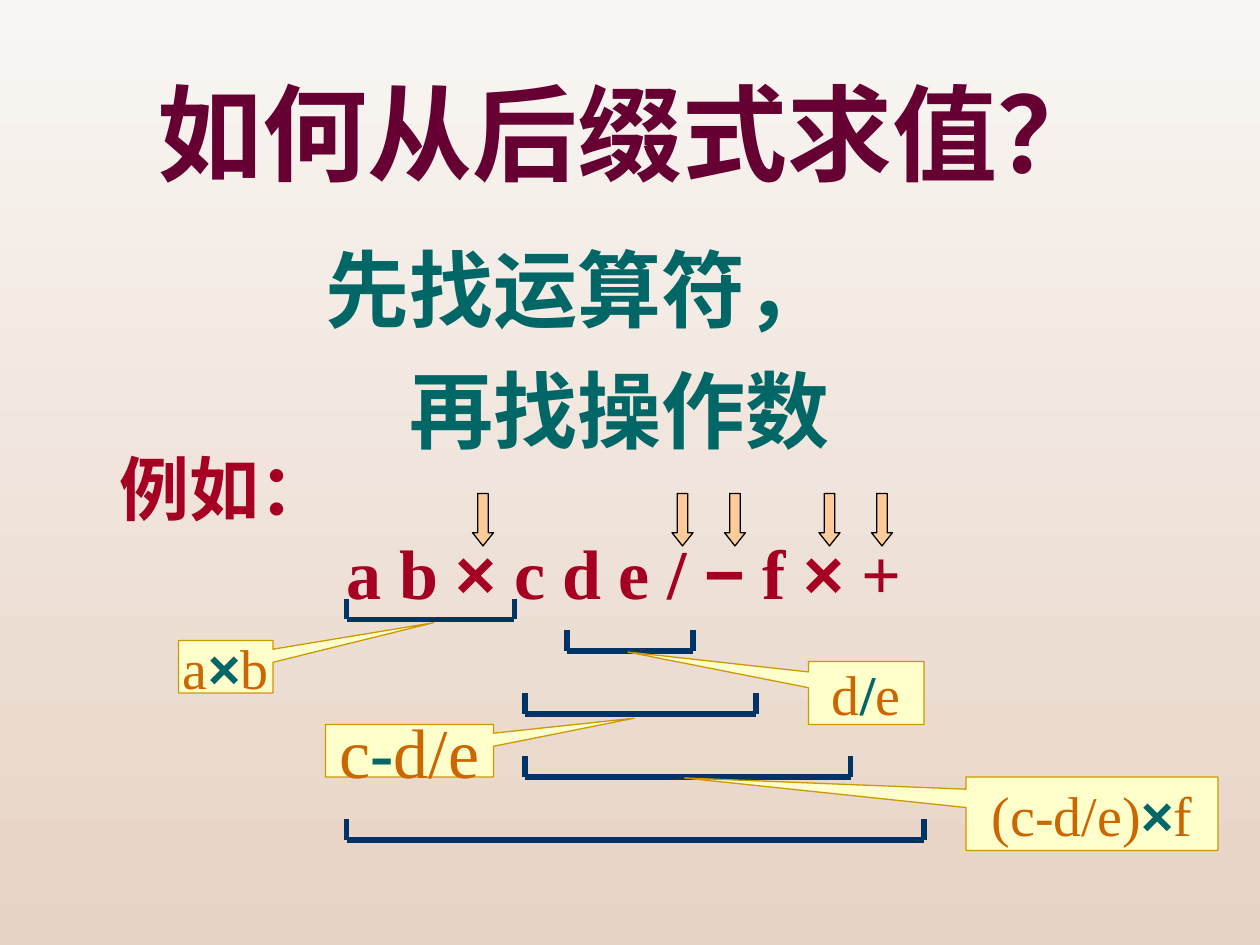
"""Build a slide on evaluating a postfix expression."""
from lxml import etree
from pptx import Presentation, util as u
from pptx.dml.color import RGBColor
from pptx.enum import lang, shapes, text
from pptx.oxml import ns

PLUM = RGBColor(0x66, 0x00, 0x33)
TEAL = RGBColor(0x00, 0x66, 0x66)
RED = RGBColor(0xA5, 0x00, 0x21)
NAVY = RGBColor(0x00, 0x33, 0x66)
RUST = RGBColor(0xCC, 0x66, 0x00)
GOLD = RGBColor(0xCC, 0x99, 0x00)
CREAM = RGBColor(0xFF, 0xFF, 0xCC)
PEACH = RGBColor(0xFF, 0xCC, 0x99)
BLACK = RGBColor(0x00, 0x00, 0x00)
PALE = RGBColor(0xF9, 0xF6, 0xF3)
SAND = RGBColor(0xE7, 0xD3, 0xC5)
COLS, ROWS = 120, 90
LEFT, MID = text.PP_ALIGN.LEFT, text.PP_ALIGN.CENTER


class Board:
    """Holds the style and the current slide, measured in columns and rows."""

    def __init__(self, deck):
        self.deck = deck
        self.slide = deck.slides.add_slide(deck.slide_layouts[6])

    def grid(self, *cells):
        sizes = (self.deck.slide_width / COLS, self.deck.slide_height / ROWS)
        return [u.Emu(round(cell * sizes[i % 2])) for i, cell in enumerate(cells)]

    def back(self, top, low):
        fill = self.slide.background.fill
        fill.gradient()
        fill.gradient_angle = 270
        for stop, tone in zip(fill.gradient_stops, (top, low)):
            stop.color.rgb = tone

    def letter(self, par, parts, size, align):
        par.alignment = align
        for words, tone, bold in parts:
            run = par.add_run()
            run.text = words
            font = run.font
            font.name = "Arial" if words in "×−" else "Times New Roman"
            font.size, font.bold = u.Pt(size), bold
            font.color.rgb = tone
            font.language_id = lang.MSO_LANGUAGE_ID.SIMPLIFIED_CHINESE

    def label(self, area, lines, size, tone, align=MID, gap=0, anchor=text.MSO_ANCHOR.TOP):
        frame = self.slide.shapes.add_textbox(*self.grid(*area)).text_frame
        frame.word_wrap = True
        frame.vertical_anchor = anchor
        for i, (indent, words) in enumerate(lines):
            par = frame.add_paragraph() if i else frame.paragraphs[0]
            par.space_before = u.Pt(gap)
            par._p.get_or_add_pPr().set("marL", str(u.Pt(indent)))
            self.letter(par, [(word, tone, True) for word in words], size, align)

    def line(self, *ends):
        rule = self.slide.shapes.add_connector(shapes.MSO_CONNECTOR.STRAIGHT, *self.grid(*ends))
        rule.line.color.rgb = NAVY
        rule.line.width = u.Pt(3)
        etree.SubElement(rule._element.spPr, ns.qn("a:effectLst"))

    def brace(self, left, right, base):
        self.line(left, base, right, base)
        for col in (left, right):
            self.line(col, base - 2, col, base)

    def shape(self, kind, area, fill, edge):
        item = self.slide.shapes.add_shape(kind, *self.grid(*area))
        item.shadow.inherit = False
        item.fill.solid()
        item.fill.fore_color.rgb = fill
        item.line.color.rgb = edge
        item.line.width = u.Pt(0.75)
        return item

    def note(self, area, tip, words, size):
        item = self.shape(shapes.MSO_SHAPE.RECTANGULAR_CALLOUT, area, CREAM, GOLD)
        for i in range(2):
            item.adjustments[i] = (tip[i] - area[i]) / area[i + 2] - 0.5
        frame = item.text_frame
        frame.word_wrap = False
        frame.vertical_anchor = text.MSO_ANCHOR.MIDDLE
        tones = (RUST, TEAL, RUST)
        parts = [(word, tone, tone == TEAL) for word, tone in zip(words, tones)]
        self.letter(frame.paragraphs[0], parts, size, MID)

    def arrow(self, col):
        item = self.shape(shapes.MSO_SHAPE.DOWN_ARROW, (col, 47, 2, 5), PEACH, BLACK)
        item.adjustments[1] = 0.63


def main():
    deck = Presentation()
    deck.slide_width, deck.slide_height = u.Inches(10), u.Inches(7.5)
    board = Board(deck)
    board.back(PALE, SAND)
    board.label((9, 5, 102, 15), [(0, ["如何从后缀式求值？"])], 60, PLUM,
                anchor=text.MSO_ANCHOR.MIDDLE)
    board.label((13, 22, 84, 23), [(0, ["先找运算符，"]), (48, ["再找操作数"])], 48, TEAL, gap=12)
    terms = ["a b ", "×", " c d e / ", "−", " f ", "×", " +"]
    board.label((10.2, 41.8, 80, 17.2), [(0, ["例如："]), (130, terms)], 40, RED, LEFT)
    for span in ((33, 49, 59), (54, 66, 62), (50, 72, 68), (50, 81, 74), (33, 88, 80)):
        board.brace(*span)
    board.note((17, 61, 9, 5), (41.3, 59.3), ("a", "×", "b"), 32)
    board.note((77, 63, 11, 6), (59.8, 62.1), ("d", "/", "e"), 32)
    board.note((31, 69, 16, 5), (60.4, 68.4), ("c", "-", "d/e"), 40)
    board.note((92, 74, 24, 7), (65.2, 74.1), ("(c-d/e)", "×", "f"), 32)
    for col in (45, 64, 69, 78, 83):
        board.arrow(col)
    deck.save("out.pptx")


if __name__ == "__main__":
    main()
